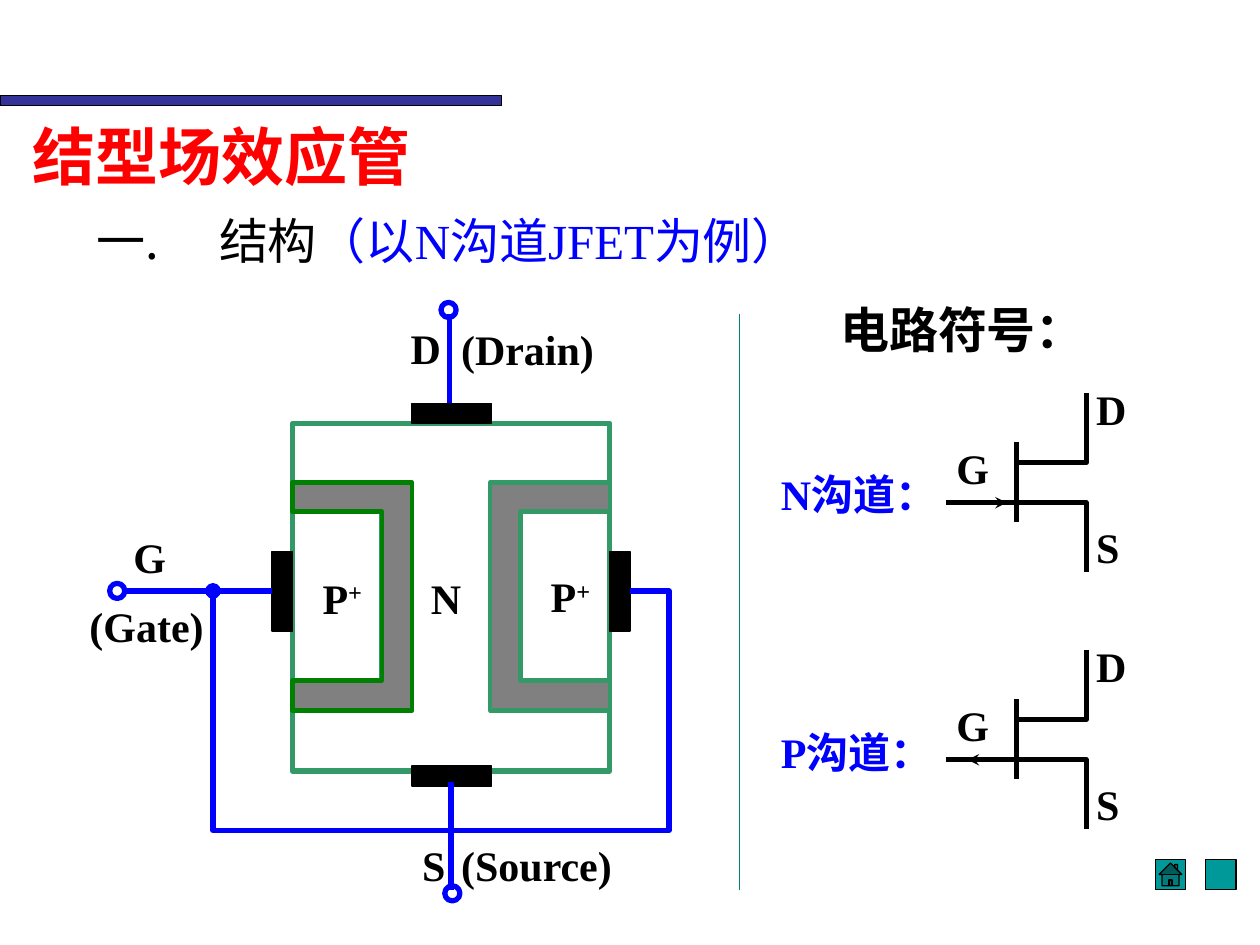
"""Slide on the structure and circuit symbols of the junction field-effect transistor."""
from pptx import Presentation
from pptx.dml.color import RGBColor
from pptx.enum import shapes, text
from pptx.oxml import ns, xmlchemy
from pptx.util import Inches, Pt

BLACK, BLUE, RED, GREEN, DARK_GREEN = "000000", "0000FF", "FF0000", "339966", "008000"
LATIN, CJK = "Times New Roman", "Noto Sans CJK SC"
KIND = shapes.MSO_SHAPE

HEADINGS = [
    ((0.16, 0.88, 7.72, 1.3), [("结型场效应管", RED)], 36, True),
    ((0.67, 1.62, 6.22, 0.57),
     [("一.\t", BLACK, CJK), ("结构", BLACK), ("（以N沟道JFET为例）", BLUE)], 28, False),
    ((6.57, 2.33, 2.36, 0.57), [("电路符号：", BLACK)], 28, True),
    ((6.1, 3.67, 1.5, 0.9), [("N沟道：", BLUE)], 24, True),
    ((6.1, 5.72, 1.57, 0.5), [("P沟道：", BLUE)], 24, True),
]
LABELS = [
    ("N", 3.42, 4.54, 0.24),
    ("D", 3.26, 2.56, 0.24), ("(Drain)", 3.66, 2.57, 1.06),
    ("G", 1.06, 4.22, 0.26), ("(Gate)", 0.71, 4.77, 0.91),
    ("S", 3.35, 6.66, 0.19), ("(Source)", 3.66, 6.66, 1.2),
]
P_LABELS = [(2.56, 4.54), (4.37, 4.53)]
BODY = (2.32, 3.36, 2.52, 2.76)
P_REGIONS = [(4.13, 4.06, 0.71, 1.34), (2.32, 4.06, 0.71, 1.34)]
DEPLETION = [(2.32, 3.83), (3.27, 3.83), (3.27, 5.64), (2.32, 5.64),
             (2.32, 5.4), (3.03, 5.4), (3.03, 4.06), (2.32, 4.06)]
ELECTRODES = [(3.27, 3.2, 0.63, 0.16), (3.27, 6.08, 0.63, 0.16),
              (2.16, 4.38, 0.16, 0.63), (4.84, 4.38, 0.16, 0.63)]
GATE_WIRE = [(5, 4.69), (5.31, 4.69), (5.31, 6.59), (1.69, 6.59), (1.69, 4.69)]
TERMINALS = [
    ((2.16, 4.69), (0.98, 4.69), (0.87, 4.63)),
    ((3.57, 2.49), (3.57, 3.2), (3.5, 2.4)),
    ((3.58, 6.21), (3.58, 7.06), (3.53, 7.03)),
]
SYMBOLS = [(3.99, 7.51, 7.99), (6.03, 8.07, 7.68)]
SYMBOL_LABELS = [("D", 8.7, -0.95, 0.24), ("G", 7.59, -0.48, 0.26), ("S", 8.7, 0.15, 0.19)]
BUTTONS = [(KIND.ACTION_BUTTON_HOME, 9.17), (KIND.ACTION_BUTTON_CUSTOM, 9.57)]

prs = Presentation()
prs.slide_width, prs.slide_height = Inches(10), Inches(7.5)
slide = prs.slides.add_slide(prs.slide_layouts[6])


def rgb(color):
    return RGBColor.from_string(color)


def add_xml(parent, tag, **attributes):
    element = xmlchemy.OxmlElement(tag)
    for key, value in attributes.items():
        element.set(key, value)
    parent.append(element)
    return element


def stroke(part, color, width, tail=None):
    part.line.color.rgb = rgb(color)
    part.line.width = Pt(width)
    line = part.line._get_or_add_ln()
    add_xml(line, "a:round")
    if tail:
        add_xml(line, "a:tailEnd", type=tail)


def paint(part, fill, color, width, tail=None):
    part.shadow.inherit = False
    if fill:
        part.fill.solid()
        part.fill.fore_color.rgb = rgb(fill)
    else:
        part.fill.background()
    stroke(part, color, width, tail)


def preset(kind, box, fill, color, width):
    part = slide.shapes.add_shape(kind, *map(Inches, box))
    paint(part, fill, color, width)


def outline(points, color, width, fill=None, closed=False, tail=None):
    start, *rest = [(Inches(x), Inches(y)) for x, y in points]
    builder = slide.shapes.build_freeform(*start, scale=1.0)
    builder.add_line_segments(rest, close=closed)
    paint(builder.convert_to_shape(), fill, color, width, tail)


def wire(start, end, color, width=3, tail=None):
    part = slide.shapes.add_connector(
        shapes.MSO_CONNECTOR.STRAIGHT, *map(Inches, (*start, *end)))
    stroke(part, color, width, tail)
    add_xml(part._element.spPr, "a:effectLst")


def write(box, runs, size, bold, inset=(0, 0), wrap=True, tab=None):
    frame = slide.shapes.add_textbox(*map(Inches, box)).text_frame
    frame.margin_left = frame.margin_right = Inches(inset[0])
    frame.margin_top = frame.margin_bottom = Inches(inset[1])
    frame.word_wrap = wrap
    frame.auto_size = text.MSO_AUTO_SIZE.NONE
    paragraph = frame.paragraphs[0]
    if tab:
        stops = add_xml(paragraph._p.get_or_add_pPr(), "a:tabLst")
        add_xml(stops, "a:tab", pos=str(Inches(tab)), algn="l")
    for words, color, *face in runs:
        run = paragraph.add_run()
        run.text = words
        run.font.size, run.font.bold = Pt(size), bold
        run.font.color.rgb = rgb(color)
        run.font.name = face[0] if face else LATIN
        add_xml(run._r.get_or_add_rPr(), "a:ea", typeface=CJK)
    return paragraph


def label(words, x, y, width):
    write((x, y, width, 0.4), [(words, BLACK)], 24, True, wrap=False)


def symbol(axis, arrow_start, arrow_end):
    wire((8.07, axis - 0.48), (8.07, axis + 0.15), BLACK)
    wire((8.07, axis), (7.51, axis), BLACK)
    for bend, end in ((axis - 0.32, axis - 0.87), (axis, axis + 0.55)):
        outline([(8.07, bend), (8.62, bend), (8.62, end)], BLACK, 3)
    wire((arrow_start, axis), (arrow_end, axis), BLACK, 2.25, "stealth")
    for words, x, dy, width in SYMBOL_LABELS:
        label(words, x, axis + dy, width)


preset(KIND.RECTANGLE, (0, 0.76, 3.98, 0.08), "333399", BLACK, 0.75)
for kind, x in BUTTONS:
    preset(kind, (x, 6.82, 0.24, 0.24), "009999", BLACK, 0.75)

for box in [BODY, *P_REGIONS]:
    preset(KIND.RECTANGLE, box, None, GREEN, 3)
mirror = 2 * BODY[0] + BODY[2]
outline(DEPLETION, DARK_GREEN, 2.5, "808080", True)
outline([(mirror - x, y) for x, y in DEPLETION], GREEN, 2.5, "808080", True)
for box in ELECTRODES:
    preset(KIND.RECTANGLE, box, BLACK, BLACK, 0.75)

outline(GATE_WIRE, BLUE, 3, tail="oval")
for start, end, ring in TERMINALS:
    wire(start, end, BLUE)
    preset(KIND.OVAL, (*ring, 0.12, 0.12), None, BLUE, 3)
for item in LABELS:
    label(*item)
for x, y in P_LABELS:
    region = write((x, y, 0.35, 0.4), [("P", BLACK), ("+", BLACK)], 24, True)
    region.runs[1].font._element.set("baseline", "30000")

for item in SYMBOLS:
    symbol(*item)
wire((5.87, 2.49), (5.87, 7.06), "008080", 0.75)
for box, runs, size, bold in HEADINGS:
    write(box, runs, size, bold, (0.1, 0.05), tab=0.97)

prs.save("out.pptx")
